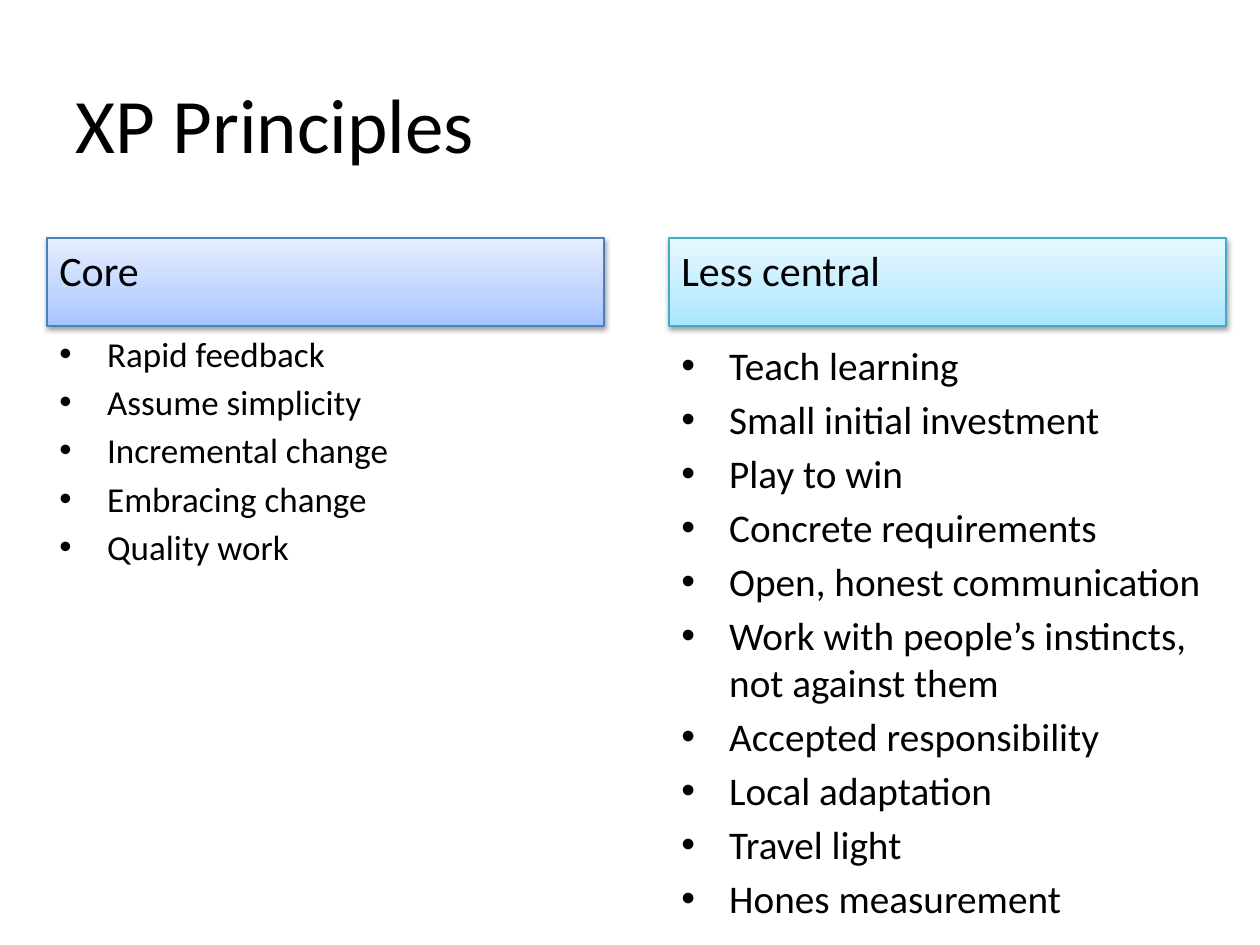
from copy import deepcopy

from lxml.etree import SubElement
from pptx import Presentation
from pptx.dml.color import RGBColor
from pptx.enum.shapes import MSO_SHAPE
from pptx.enum.text import MSO_ANCHOR, PP_ALIGN
from pptx.oxml.ns import qn
from pptx.util import Emu, Inches, Pt

SCALE = 914400 / 126
BLACK = "000000"


def px(n):
    return Emu(round(n * SCALE))


def color(code):
    return RGBColor.from_string(code)


def style(para, size, space=0):
    para.alignment = PP_ALIGN.LEFT
    para.space_before = Pt(space)
    para.font.name = "Calibri"
    para.font.size = Pt(size)
    para.font.color.rgb = color(BLACK)


def add_title(slide, box, text):
    title = slide.shapes.title
    title.left, title.top, title.width, title.height = map(px, box)
    title.text_frame.text = text
    title.text_frame.vertical_anchor = MSO_ANCHOR.MIDDLE
    style(title.text_frame.paragraphs[0], 44)


def add_shade(shape):
    shape.shadow.inherit = False
    effects = shape._element.spPr.find(qn("a:effectLst"))
    outer = SubElement(effects, qn("a:outerShdw"), blurRad="40000",
                       dist="20000", dir="5400000", rotWithShape="0")
    tone = SubElement(outer, qn("a:srgbClr"), val=BLACK)
    SubElement(tone, qn("a:alpha"), val="38000")


def add_header(slide, box, text, tones, edge):
    bar = slide.shapes.add_shape(MSO_SHAPE.RECTANGLE, *map(px, box))
    # Three-stop gradient, darkest at the bottom
    bar.fill.gradient()
    bar.fill.gradient_angle = 90
    stops = bar._element.spPr.find(".//" + qn("a:gsLst"))
    stops.append(deepcopy(stops[-1]))
    for stop, tone, place in zip(bar.fill.gradient_stops, tones, (0, 0.35, 1)):
        stop.color.rgb = color(tone)
        stop.position = place
    bar.line.color.rgb = color(edge)
    bar.line.width = Pt(0.75)
    add_shade(bar)
    frame = bar.text_frame
    frame.word_wrap = True
    frame.vertical_anchor = MSO_ANCHOR.TOP
    frame.text = text
    style(frame.paragraphs[0], 24, 4.8)


def add_list(slide, box, items, size, space):
    frame = slide.shapes.add_textbox(*map(px, box)).text_frame
    frame.word_wrap = True
    frame.text = "\n".join(items)
    indent = Inches(0.38)
    for para in frame.paragraphs:
        style(para, size, space)
        props = para._p.get_or_add_pPr()
        props.set("marL", str(indent))
        props.set("indent", str(-indent))
        SubElement(props, qn("a:buFont"), typeface="Arial")
        SubElement(props, qn("a:buChar"), char="•")
        # Bullets must come before the font settings
        props.append(props.find(qn("a:defRPr")))


def add_column(slide, box, head, tones, edge, items, size, space, gap):
    left, top, width, height = box
    bar = 88
    start = bar + gap
    add_list(slide, (left, top + start, width, height - start),
             items, size, space)
    add_header(slide, (left, top, width, bar), head, tones, edge)


deck = Presentation()
deck.slide_width, deck.slide_height = Inches(10), Inches(7.5)
slide = deck.slides.add_slide(deck.slide_layouts[5])

add_title(slide, (63, 64, 1134, 118), "XP Principles")

# Left column
add_column(slide, (47, 238, 557, 597), "Core",
           ("A4C4FF", "BFD4FF", "E6EEFF"), "4B7EBC",
           ["Rapid feedback", "Assume simplicity", "Incremental change",
            "Embracing change", "Quality work"], 20, 3.6, 0)

# Right column
add_column(slide, (669, 238, 557, 615), "Less central",
           ("A7E6FF", "C1EDFF", "E7F8FF"), "46AAC5",
           ["Teach learning", "Small initial investment", "Play to win",
            "Concrete requirements", "Open, honest communication",
            "Work with people’s instincts, not against them",
            "Accepted responsibility", "Local adaptation", "Travel light",
            "Hones measurement"], 22.4, 4, 9)

deck.save("out.pptx")
